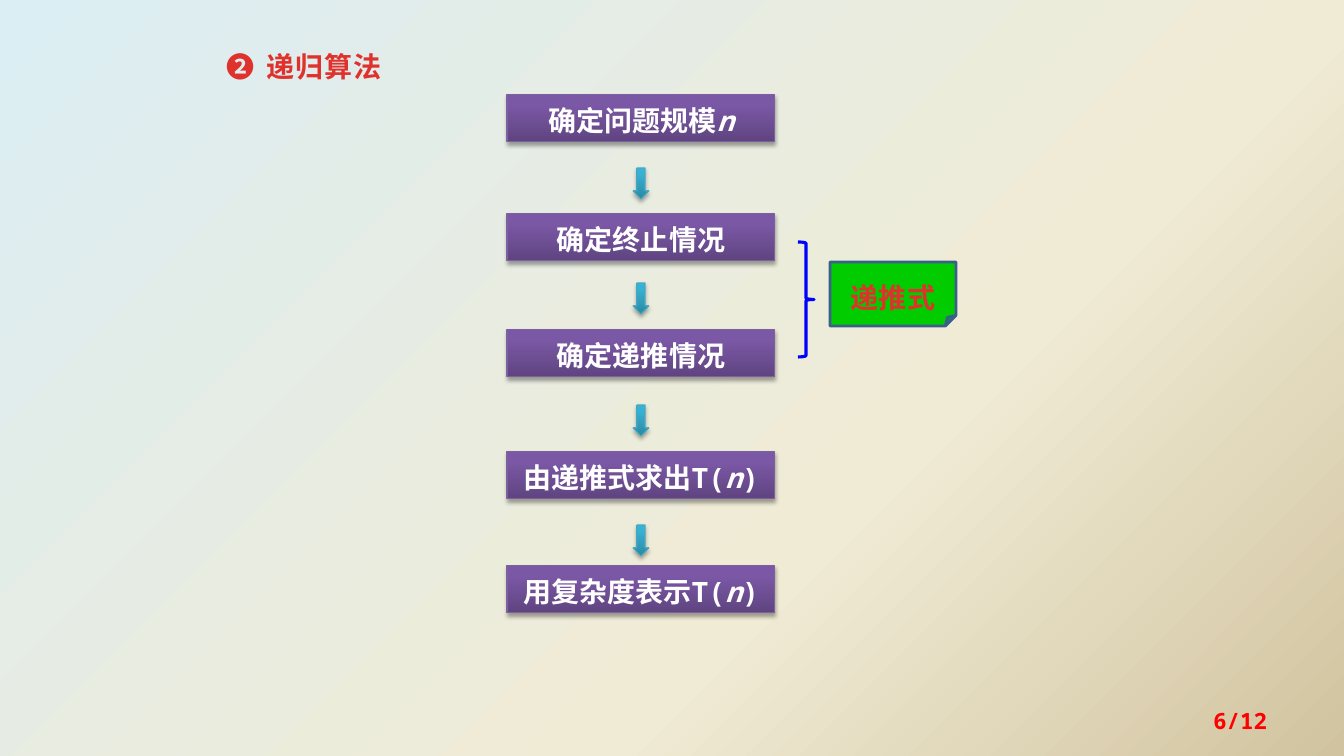
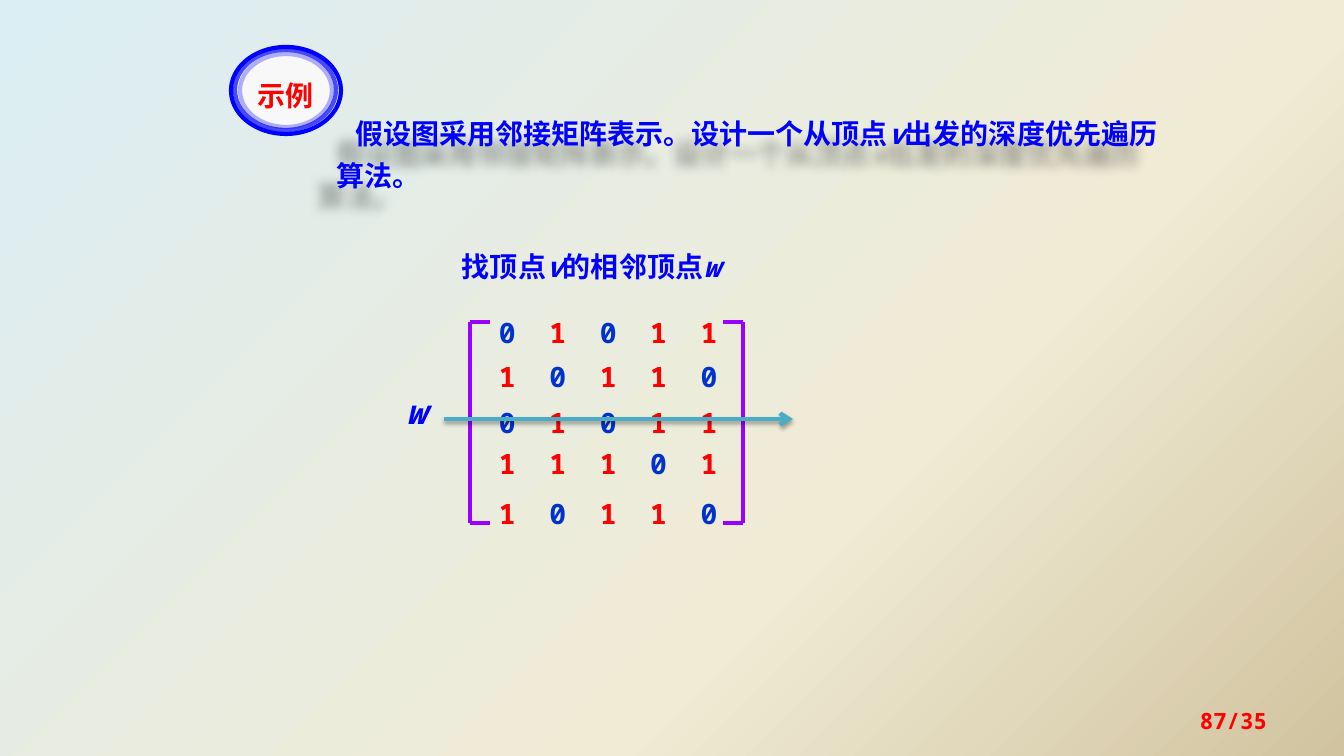
from dataclasses import dataclass
from typing import NamedTuple, Optional, Sequence, Union

from lxml import etree
from pptx import Presentation
from pptx import util as u
from pptx.dml.color import RGBColor
from pptx.enum import dml, shapes, text
from pptx.oxml import ns

SCALE = 914400 / 100.8
MONO = "Noto Sans Mono"
SANS = "Noto Sans CJK JP"
TITLE_ONLY = 5
COLORS = {
    "blue": "0000FF", "red": "FF0000", "crimson": "E0322D", "white": "FFFFFF",
    "zero": "0033CC", "bracket": "9900FF", "green": "00CC00",
    "note_edge": "3A5F8C", "step_edge": "7D60A0", "arrow_edge": "46AAC5",
    "sweep": "4BACC6", "badge": "F8F8F8", "black": "000000",
}
BACKDROP = ((0, "DBEEF4"), (65, "F0EBD5"), (100, "D1C39F"))
PURPLE = ((0, "5F4480"), (80, "7B58A6"), (100, "7C57A8"))
TEAL = ((0, "2A88A2"), (80, "37B1D2"), (100, "34B4D6"))


class Area(NamedTuple):
    left: int
    top: int
    width: int
    height: int


class Span(NamedTuple):
    text: str
    italic: bool = False
    color: Optional[str] = None


class Shadow(NamedTuple):
    opacity: int
    blur: float
    distance: float
    angle: int


@dataclass(frozen=True)
class Step:
    top: int
    label: tuple
    arrow_top: Optional[int] = None


@dataclass(frozen=True)
class Ring:
    area: Area
    opacity: int
    fill: Optional[str] = None


@dataclass(frozen=True)
class MatrixRow:
    top: int
    digits: str


SOFT = Shadow(35, 3.1, 1.8, 90)
CAST = Shadow(35, 8, 20, 135)
N = Span("n", italic=True)
STEPS = (
    Step(95, (Span("确定问题规模"), N), 168),
    Step(214, (Span("确定终止情况"),), 283),
    Step(330, (Span("确定递推情况"),), 405),
    Step(452, (Span("由递推式求出T("), N, Span(")")), 525),
    Step(566, (Span("用复杂度表示T("), N, Span(")"))),
)
RINGS = (
    Ring(Area(231, 47, 110, 87), 100, "badge"),
    Ring(Area(235, 50, 101, 80), 70),
    Ring(Area(240, 54, 92, 73), 30),
)
MATRIX = (
    MatrixRow(312, "01011"),
    MatrixRow(356, "10110"),
    MatrixRow(402, "01011"),
    MatrixRow(443, "11101"),
    MatrixRow(493, "10110"),
)
DIGIT_STOPS = tuple(101 * column // 2 for column in range(1, 5))


def px(length: int) -> u.Emu:
    return u.Emu(round(length * SCALE))


def rgb(name: str) -> RGBColor:
    return RGBColor.from_string(COLORS[name])


def add_node(parent, tag: str, **attributes):
    node = etree.SubElement(parent, ns.qn(tag))
    for key, value in attributes.items():
        node.set(key, str(value))
    return node


def paint_gradient(fill, host, stops: Sequence[tuple], angle: int) -> None:
    fill.gradient()
    gradient = next(host.iter(ns.qn("a:gradFill")))
    stop_list = gradient.find(ns.qn("a:gsLst"))
    for stop in list(stop_list):
        stop_list.remove(stop)
    for position, color in stops:
        stop = add_node(stop_list, "a:gs", pos=position * 1000)
        add_node(stop, "a:srgbClr", val=color)
    gradient.find(ns.qn("a:lin")).set("ang", str(angle * 60000))


def set_shadow(box, shadow: Optional[Shadow] = None) -> None:
    properties = box._element.spPr
    effects = properties.find(ns.qn("a:effectLst"))
    if effects is None:
        effects = add_node(properties, "a:effectLst")
    if shadow:
        outer = add_node(
            effects, "a:outerShdw", blurRad=u.Pt(shadow.blur), dist=u.Pt(shadow.distance),
            dir=shadow.angle * 60000, algn="t", rotWithShape=0)
        color = add_node(outer, "a:srgbClr", val=COLORS["black"])
        add_node(color, "a:alpha", val=shadow.opacity * 1000)


def set_line(box, color: str, width: float, opacity: int = 100) -> None:
    box.line.color.rgb = rgb(color)
    box.line.width = u.Pt(width)
    if opacity < 100:
        tint = next(box.line._ln.iter(ns.qn("a:srgbClr")))
        add_node(tint, "a:alpha", val=opacity * 1000)


def write(box, content: Union[str, Sequence[Span]], *, color: str, size: int = 20,
          font: str = MONO, bold: bool = True, align=text.PP_ALIGN.LEFT,
          anchor=text.MSO_ANCHOR.TOP, leading=1.1, inset: tuple = (10, 5),
          margin: int = 0, indent: int = 0, tracking: float = 0,
          stops: Sequence[int] = ()) -> None:
    frame = box.text_frame
    frame.word_wrap = True
    frame.auto_size = text.MSO_AUTO_SIZE.NONE
    frame.vertical_anchor = anchor
    frame.margin_left = frame.margin_right = px(inset[0])
    frame.margin_top = frame.margin_bottom = px(inset[1])
    para = frame.paragraphs[0]
    settings = para._p.get_or_add_pPr()
    settings.set("marL", str(px(margin)))
    settings.set("indent", str(px(indent)))
    if stops:
        tabs = add_node(settings, "a:tabLst")
        for stop in stops:
            add_node(tabs, "a:tab", pos=px(stop), algn="l")
    para.alignment = align
    para.line_spacing = leading
    spans = [Span(content)] if isinstance(content, str) else content
    for span in spans:
        run = para.add_run()
        run.text = span.text
        run.font.name = font
        run.font.size = u.Pt(size)
        run.font.bold = bold
        run.font.italic = span.italic
        run.font.color.rgb = rgb(span.color or color)
        style = run._r.get_or_add_rPr()
        style.set("lang", "zh-CN")
        if tracking:
            style.set("spc", str(round(tracking * 100)))
        add_node(style, "a:ea", typeface=font)


def add_text(page, area: Area, content: Union[str, Sequence[Span]], **style):
    box = page.shapes.add_textbox(*map(px, area))
    write(box, content, **style)
    return box


def set_title(page, area: Area, content: Union[str, Sequence[Span]], **style):
    box = page.shapes.title
    box.left, box.top, box.width, box.height = map(px, area)
    write(box, content, **style)
    return box


def add_box(page, kind, area: Area, *, edge: str, width: float, fill: Optional[str] = None,
            stops: Sequence[tuple] = (), opacity: int = 100,
            shadow: Optional[Shadow] = None):
    box = page.shapes.add_shape(kind, *map(px, area))
    if stops:
        paint_gradient(box.fill, box._element.spPr, stops, 270)
    elif fill:
        box.fill.solid()
        box.fill.fore_color.rgb = rgb(fill)
    else:
        box.fill.background()
    set_line(box, edge, width, opacity)
    box.shadow.inherit = False
    set_shadow(box, shadow)
    return box


def add_line(page, start: tuple, end: tuple, *, color: str, width: float,
             arrow: bool = False, shadow: Optional[Shadow] = None) -> None:
    line = page.shapes.add_connector(
        shapes.MSO_CONNECTOR.STRAIGHT, *map(px, (*start, *end)))
    set_line(line, color, width)
    if arrow:
        add_node(line.line._ln, "a:tailEnd", type="arrow")
    set_shadow(line, shadow)


def add_page(deck):
    return deck.slides.add_slide(deck.slide_layouts[TITLE_ONLY])


def add_page_number(page, label: str) -> None:
    add_text(page, Area(964, 701, 313, 40), label, color="red", size=16, leading=1.0,
             align=text.PP_ALIGN.RIGHT, anchor=text.MSO_ANCHOR.MIDDLE)


def build_recursion(deck) -> None:
    kinds = shapes.MSO_SHAPE
    page = add_page(deck)
    set_title(page, Area(216, 41, 252, 47), "❷\t递归算法", color="crimson",
              margin=41, indent=-41, tracking=0.5)
    for step in STEPS:
        box = add_box(page, kinds.RECTANGLE, Area(507, step.top, 268, 47),
                      edge="step_edge", width=0.75, stops=PURPLE, shadow=SOFT)
        write(box, step.label, color="white", align=text.PP_ALIGN.CENTER)
        if step.arrow_top:
            add_box(page, kinds.DOWN_ARROW, Area(633, step.arrow_top, 16, 31),
                    edge="arrow_edge", width=0.75, stops=TEAL, shadow=SOFT)
    add_box(page, kinds.RIGHT_BRACE, Area(798, 242, 16, 115), edge="blue", width=2.25)
    note = add_box(page, kinds.FOLDED_CORNER, Area(830, 262, 126, 64),
                   edge="note_edge", width=2, fill="green")
    write(note, "递推式", color="crimson", font=SANS, align=text.PP_ALIGN.CENTER,
          anchor=text.MSO_ANCHOR.MIDDLE, leading=1.5, tracking=0.5)
    add_page_number(page, "6/12")


def add_matrix(page) -> None:
    for row in MATRIX:
        last = len(row.digits) - 1
        spans = [Span(digit if column == last else digit + "\t",
                      color="red" if digit == "1" else "zero")
                 for column, digit in enumerate(row.digits)]
        add_text(page, Area(499, row.top, 245, 73), spans, color="zero",
                 inset=(0, 0), stops=DIGIT_STOPS)
    top, bottom = 322, 523
    for side, arm in ((470, 20), (743, -20)):
        add_line(page, (side, top), (side, bottom), color="bracket", width=2.25)
        for level in (top, bottom):
            add_line(page, (side, level), (side + arm, level), color="bracket", width=2.25)


def build_example(deck) -> None:
    page = add_page(deck)
    statement = set_title(
        page, Area(326, 103, 845, 95),
        (Span("假设图采用邻接矩阵表示。设计一个从顶点"), Span("v", italic=True),
         Span("出发的深度优先遍历算法。")),
        color="blue", leading=u.Pt(30), indent=19)
    set_shadow(statement, CAST)
    add_matrix(page)
    add_text(page, Area(396, 395, 58, 41), (Span("w", italic=True),),
             color="blue", size=24, leading=u.Pt(22))
    add_line(page, (444, 419), (793, 419), color="sweep", width=3, arrow=True, shadow=SOFT)
    add_text(page, Area(452, 236, 379, 52),
             (Span("找顶点"), Span("v", italic=True), Span("的相邻顶点"),
              Span("w", italic=True)),
             color="blue", leading=u.Pt(30))
    for ring in RINGS:
        add_box(page, shapes.MSO_SHAPE.OVAL, ring.area, edge="blue", width=3,
                fill=ring.fill, opacity=ring.opacity)
    add_text(page, Area(237, 70, 97, 47), "示例", color="red", font=SANS,
             align=text.PP_ALIGN.CENTER)
    add_page_number(page, "87/35")


def main() -> None:
    deck = Presentation()
    deck.slide_width, deck.slide_height = px(1344), px(756)
    master = deck.slide_master
    paint_gradient(master.background.fill, master._element, BACKDROP, 45)
    build_recursion(deck)
    build_example(deck)
    deck.save("out.pptx")


if __name__ == "__main__":
    main()
